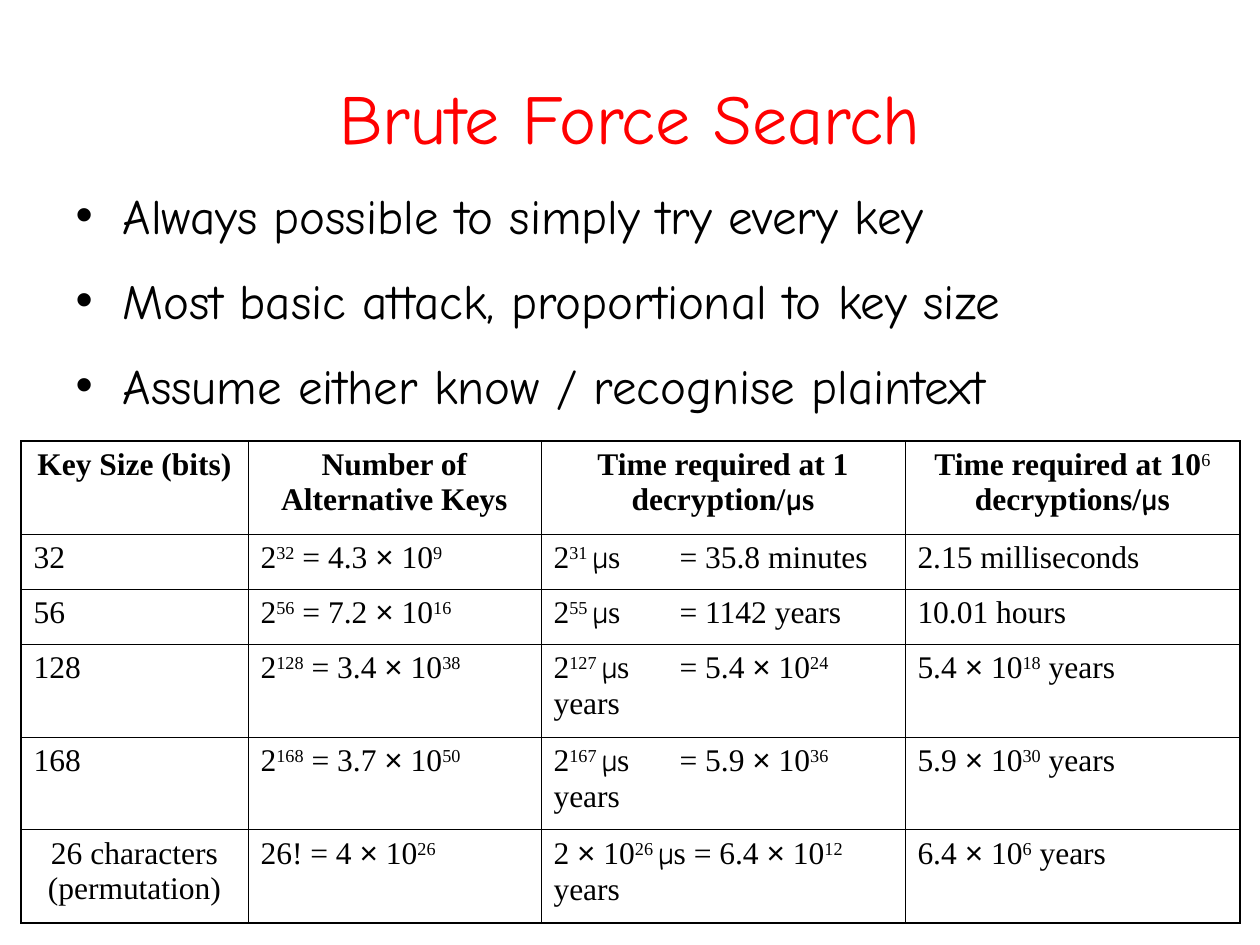
from itertools import groupby

from lxml.etree import SubElement
from pptx import Presentation
from pptx.dml.color import RGBColor
from pptx.enum.text import MSO_ANCHOR, MSO_AUTO_SIZE, PP_ALIGN
from pptx.oxml import parse_xml
from pptx.oxml.ns import nsdecls, qn
from pptx.util import Emu, Pt

COLORS = {"title": "FF0000", "text": "000000", "line": "000000"}
SYMBOL_FONTS = {"µ": "Comic Neue", "×": "Arial"}
TITLE = {"name": "Comic Neue", "size": Pt(40), "bold": False}
BODY = {"name": "Comic Neue", "size": Pt(28), "bold": False}
CELL = {"size": Pt(18)}
THICK, THIN = Pt(1.08), Pt(0.45)

BULLETS = [
    "Always possible to simply try every key",
    "Most basic attack, proportional to key size",
    "Assume either know / recognise plaintext",
]
COLUMNS = [227, 293, 364, 335]
HEIGHTS = [93, 55, 55, 93, 93, 93]
ROWS = [
    ["Key Size (bits)", "Number of Alternative Keys",
     "Time required at 1 decryption/µs", "Time required at 10^6^ decryptions/µs"],
    ["32", "2^32^ = 4.3 × 10^9^", "2^31 ^µs\t= 35.8 minutes", "2.15 milliseconds"],
    ["56", "2^56^ = 7.2 × 10^16^", "2^55 ^µs\t= 1142 years", "10.01 hours"],
    ["128", "2^128^ = 3.4 × 10^38^", "2^127 ^µs\t= 5.4 × 10^24^ years",
     "5.4 × 10^18^ years"],
    ["168", "2^168^ = 3.7 × 10^50^", "2^167 ^µs\t= 5.9 × 10^36^ years",
     "5.9 × 10^30^ years"],
    ["26 characters (permutation)", "26! = 4 × 10^26^",
     "2 × 10^26 ^µs = 6.4 × 10^12^ years", "6.4 × 10^6^ years"],
]


def px(n):
    """Turn whole pixels into EMU."""
    return Emu(round(n * 914400 / 126))


def apply(obj, values):
    """Set each attribute named in a dict."""
    for key, value in values.items():
        setattr(obj, key, value)


def add_run(p, text, values, color):
    """Add a formatted run to a paragraph."""
    r = p.add_run()
    r.text = text
    apply(r.font, values)
    r.font.color.rgb = RGBColor.from_string(COLORS[color])
    return r


def place(sp, left, top, width, height):
    """Position a placeholder and turn off its text fitting."""
    apply(sp, {"left": px(left), "top": px(top), "width": px(width), "height": px(height)})
    apply(sp.text_frame, {"auto_size": MSO_AUTO_SIZE.NONE, "word_wrap": True})
    return sp.text_frame


def add_title(s, text):
    """Fill the title placeholder."""
    tf = place(s.shapes.title, 63, 38, 1134, 157)
    tf.vertical_anchor = MSO_ANCHOR.MIDDLE
    p = tf.paragraphs[0]
    apply(p, {"alignment": PP_ALIGN.CENTER, "space_after": Pt(3)})
    add_run(p, text, TITLE, "title")


def add_bullets(s, items):
    """Fill the body placeholder with a bulleted list."""
    tf = place(s.placeholders[1], 63, 179, 1103, 262)
    for i, item in enumerate(items):
        p = tf.add_paragraph() if i else tf.paragraphs[0]
        apply(p, {"space_before": Pt(12 if i else 0), "space_after": Pt(3)})
        pPr = p._p.get_or_add_pPr()
        pPr.set("marL", str(px(47)))
        pPr.set("indent", str(-px(47)))
        clr = SubElement(pPr, qn("a:buClr"))
        SubElement(clr, qn("a:srgbClr"), val=COLORS["text"])
        SubElement(pPr, qn("a:buChar"), char="•")
        add_run(p, item, BODY, "text")


def set_borders(cell, widths):
    """Draw the left, right, top and bottom borders of a cell."""
    tcPr = cell._tc.get_or_add_tcPr()
    for i, (side, width) in enumerate(zip("LRTB", widths)):
        tcPr.insert(i, parse_xml(
            f'<a:ln{side} {nsdecls("a")} w="{int(width)}"><a:solidFill>'
            f'<a:srgbClr val="{COLORS["line"]}"/></a:solidFill></a:ln{side}>'))


def fill_cell(cell, text, bold, centered):
    """Write text into a cell, raising the parts between carets."""
    cell.fill.background()
    p = cell.text_frame.paragraphs[0]
    apply(p, {"alignment": PP_ALIGN.CENTER if centered else PP_ALIGN.LEFT,
              "space_after": Pt(3)})
    for i, part in enumerate(text.split("^")):
        raised = i % 2 == 1
        for font, chars in groupby(part, lambda c: SYMBOL_FONTS.get(c, "Times New Roman")):
            values = {**CELL, "name": font, "bold": bold and not raised}
            r = add_run(p, "".join(chars), values, "text")
            if raised:
                r._r.get_or_add_rPr().set("baseline", "30000")


def add_key_table(s):
    """Add the table of key sizes and search times."""
    last_row, last_col = len(ROWS) - 1, len(COLUMNS) - 1
    table = s.shapes.add_table(len(ROWS), len(COLUMNS), px(21), px(441),
                               px(sum(COLUMNS)), px(sum(HEIGHTS))).table
    apply(table, {"first_row": False, "horz_banding": False})
    for col, width in zip(table.columns, COLUMNS):
        col.width = px(width)
    for row, height in zip(table.rows, HEIGHTS):
        row.height = px(height)
    for i, row in enumerate(ROWS):
        for j, text in enumerate(row):
            cell = table.cell(i, j)
            fill_cell(cell, text, i == 0, i == 0 or (i == last_row and j == 0))
            edges = (j == 0, j == last_col, i == 0, i == last_row)
            set_borders(cell, [THICK if edge else THIN for edge in edges])


def main():
    """Build the slide and save it."""
    prs = Presentation()
    apply(prs, {"slide_width": px(1260), "slide_height": px(945)})
    s = prs.slides.add_slide(prs.slide_layouts[1])
    add_title(s, "Brute Force Search")
    add_key_table(s)
    add_bullets(s, BULLETS)
    prs.save("out.pptx")


if __name__ == "__main__":
    main()
